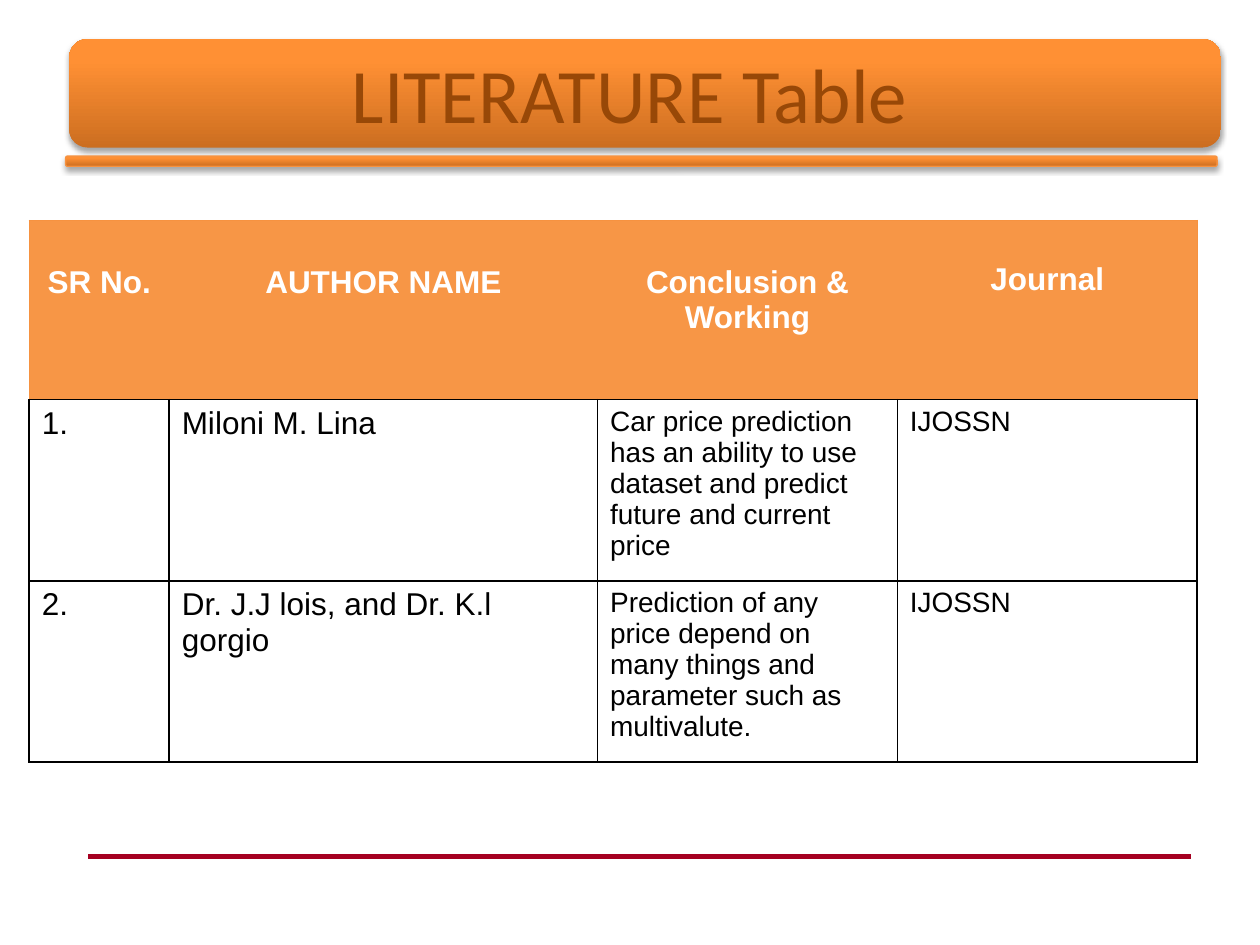
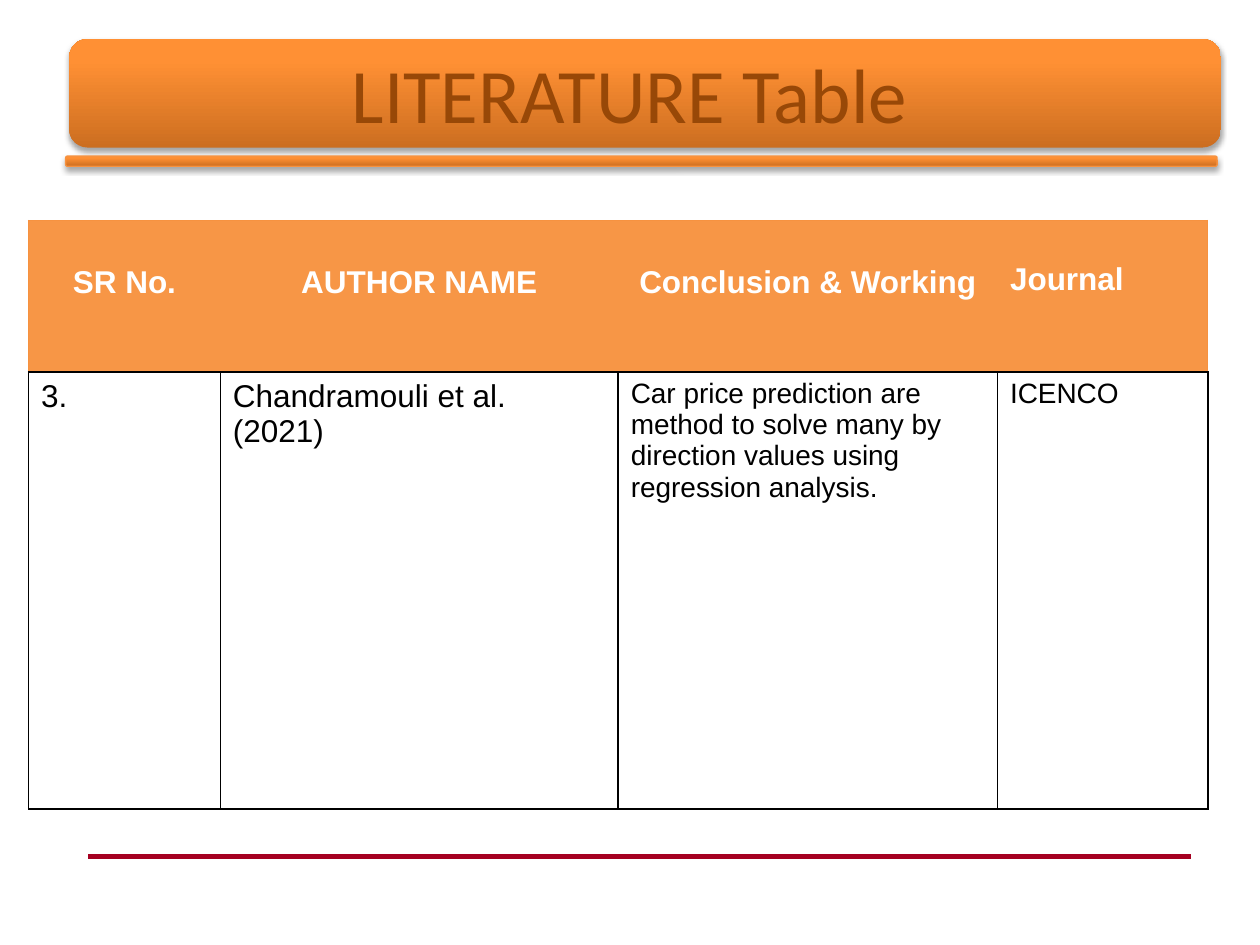
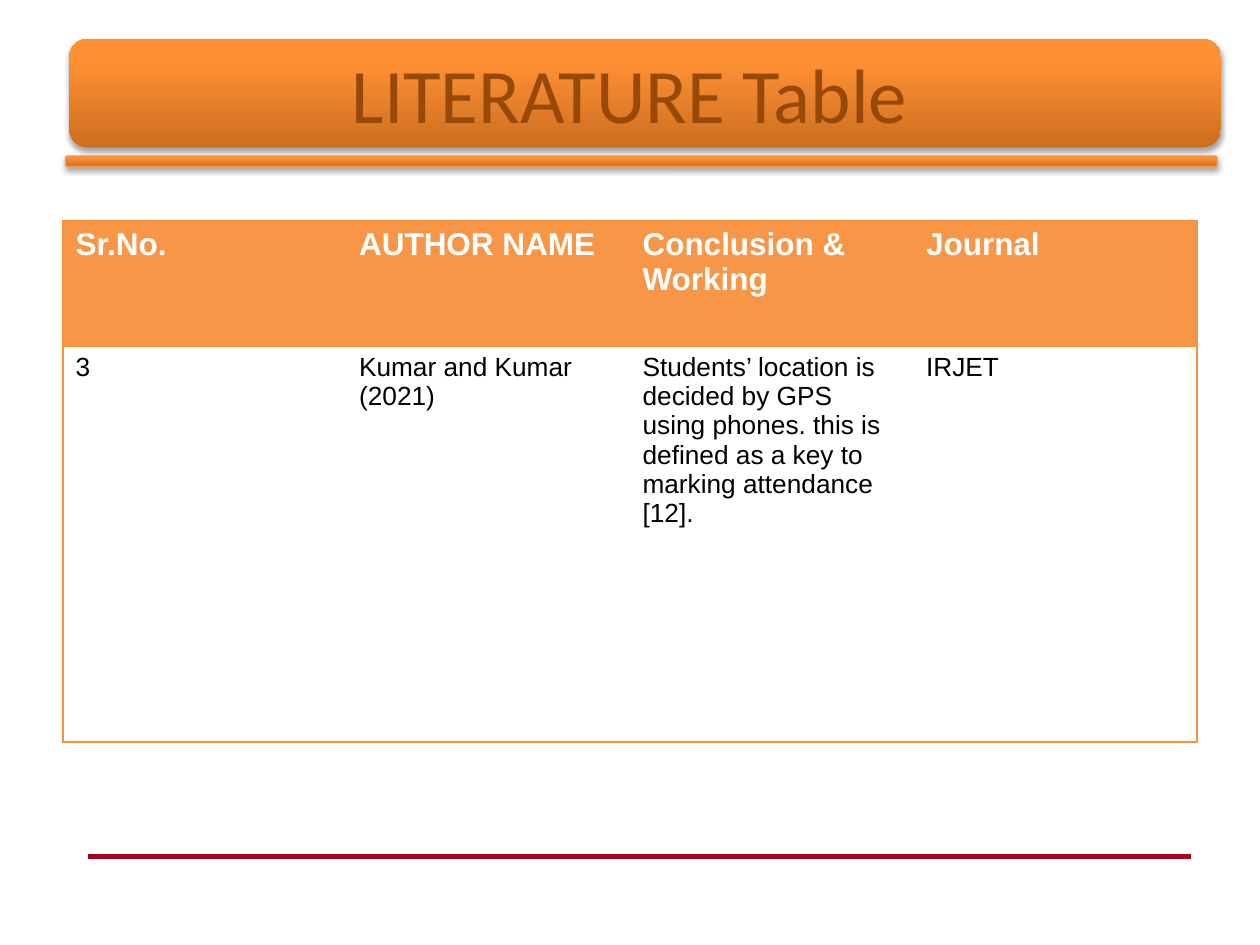
from copy import deepcopy

from lxml import etree
from pptx import Presentation
from pptx.dml.color import RGBColor
from pptx.enum.shapes import MSO_CONNECTOR, MSO_SHAPE
from pptx.enum.text import MSO_ANCHOR, PP_ALIGN
from pptx.oxml.ns import qn
from pptx.util import Pt

ROUNDED = MSO_SHAPE.ROUNDED_RECTANGLE
STRAIGHT = MSO_CONNECTOR.STRAIGHT
MIDDLE = MSO_ANCHOR.MIDDLE
LEFT, CENTER = PP_ALIGN.LEFT, PP_ALIGN.CENTER

COLORS = {
    "background": "FFFFFF",
    "title": "984807",
    "header": "F79646",
    "header_text": "FFFFFF",
    "text": "000000",
    "grid": "000000",
    "frame": "F69240",
    "rule": "A50021",
    "shadow": "000000",
}
BAND_STOPS = [(0, "CC6E20"), (0.8, "FF9034"), (1, "FF9136")]
BORDER_WIDTHS = {"grid": 1, "frame": 0.75}
TITLE_FONT, BODY_FONT = "Calibri", "Arial"
TABLE_TOP = 126


def color(name):
    return RGBColor.from_string(COLORS[name])


def add_xml(parent, tag, **attributes):
    return etree.SubElement(parent, qn(tag), {key: str(value) for key, value in attributes.items()})


def border_names(row, column, last_column, has_grid):
    """Border colour name for each side of a cell, or None for no border."""
    if has_grid and row:
        return dict.fromkeys("LRTB", "grid")
    return {
        "L": "frame" if column == 0 else None,
        "R": "frame" if column == last_column else None,
        "T": "frame",
        "B": "grid" if has_grid else "frame",
    }


class LiteratureDeck:
    def __init__(self):
        self.deck = Presentation()
        self.deck.slide_width, self.deck.slide_height = Pt(720), Pt(540)
        self.slide = None

    def new_slide(self, title):
        self.slide = self.deck.slides.add_slide(self.deck.slide_layouts[6])
        background = self.slide.background.fill
        background.solid()
        background.fore_color.rgb = color("background")
        self.rule(50.4, 489.6, 680.4)
        self.band(39.6, 22.3, 658, 62)
        self.band(37.5, 89.2, 658, 5.8, outlined=True)
        self.title(title)

    def rule(self, left, top, right):
        line = self.slide.shapes.add_connector(STRAIGHT, Pt(left), Pt(top), Pt(right), Pt(top))
        line.line.color.rgb = color("rule")
        line.line.width = Pt(2.75)
        add_xml(line.element.spPr, "a:effectLst")

    def band(self, left, top, width, height, outlined=False):
        band = self.slide.shapes.add_shape(ROUNDED, Pt(left), Pt(top), Pt(width), Pt(height))
        # Gradient from the dark bottom to the light top
        band.fill.gradient()
        band.fill.gradient_angle = 90
        stop_list = band.element.spPr.find(qn("a:gradFill")).find(qn("a:gsLst"))
        stop_list.append(deepcopy(stop_list[0]))
        for stop, (position, value) in zip(band.fill.gradient_stops, BAND_STOPS):
            stop.position = position
            stop.color.rgb = RGBColor.from_string(value)
        if outlined:
            band.line.color.rgb = color("frame")
            band.line.width = Pt(0.75)
        else:
            band.line.fill.background()
        # Soft shadow straight below
        band.shadow.inherit = False
        effects = band.element.spPr.find(qn("a:effectLst"))
        shadow = add_xml(effects, "a:outerShdw", blurRad=Pt(3.1), dist=Pt(1.8),
                         dir=5400000, rotWithShape=0)
        shade = add_xml(shadow, "a:srgbClr", val=COLORS["shadow"])
        add_xml(shade, "a:alpha", val=35000)

    def title(self, text):
        box = self.slide.shapes.add_textbox(Pt(36), Pt(21.6), Pt(648), Pt(62.64))
        frame = box.text_frame
        frame.word_wrap = True
        frame.vertical_anchor = MIDDLE
        self.set_text(frame, text, 44, "title", TITLE_FONT, align=CENTER)

    def set_text(self, frame, text, size, color_name, font=BODY_FONT, bold=False, align=LEFT):
        para = frame.paragraphs[0]
        para.text = text
        para.alignment = align
        para.font.name = font
        para.font.size = Pt(size)
        para.font.bold = bold
        para.font.color.rgb = color(color_name)

    def border(self, cell, side, name):
        properties = cell._tc.get_or_add_tcPr()
        if name is None:
            add_xml(add_xml(properties, f"a:ln{side}", w=0), "a:noFill")
            return
        line = add_xml(properties, f"a:ln{side}", w=Pt(BORDER_WIDTHS[name]))
        add_xml(add_xml(line, "a:solidFill"), "a:srgbClr", val=COLORS[name])

    def table(self, left, widths, heights, rows, sizes, aligns, header_tops, has_grid=True):
        table = self.slide.shapes.add_table(
            len(rows), len(widths), Pt(left), Pt(TABLE_TOP), Pt(sum(widths)), Pt(sum(heights))).table
        table.first_row = table.horz_banding = False
        for column, width in zip(table.columns, widths):
            column.width = Pt(width)
        for row, height in zip(table.rows, heights):
            row.height = Pt(height)
        for r, texts in enumerate(rows):
            for c, text in enumerate(texts):
                cell = table.cell(r, c)
                for side, name in border_names(r, c, len(widths) - 1, has_grid).items():
                    self.border(cell, side, name)
                if r == 0:
                    cell.fill.solid()
                    cell.fill.fore_color.rgb = color("header")
                    cell.margin_top = Pt(header_tops[c])
                    self.set_text(cell.text_frame, text, 18, "header_text", bold=True, align=aligns[c])
                else:
                    cell.fill.background()
                    self.set_text(cell.text_frame, text, sizes[c], "text")


def main():
    literature = LiteratureDeck()
    title = "LITERATURE Table"
    headings = ["SR No.", "AUTHOR NAME", "Conclusion & Working", "Journal"]
    grid_sizes = [18, 18, 16, 16]
    lowered = [25.2, 25.2, 25.2, 23.6]

    # Slide 1: first two papers
    literature.new_slide(title)
    literature.table(
        16.7, [80, 244.8, 171.3, 171.3], [102.4, 103.6, 103.6],
        [headings,
         ["1.", "Miloni M. Lina",
          "Car price prediction has an ability to use dataset and predict future and current price",
          "IJOSSN"],
         ["2.", "Dr. J.J lois, and Dr. K.l gorgio",
          "Prediction of any price depend on many things and parameter such as multivalute.",
          "IJOSSN"]],
        grid_sizes, [CENTER] * 4, lowered)

    # Slide 2: third paper
    literature.new_slide(title)
    literature.table(
        16.3, [109.6, 227.4, 216.7, 120.2], [86.7, 249.6],
        [headings,
         ["3.", "Chandramouli et al. (2021)",
          "Car price prediction are method to solve many by direction values using regression analysis.",
          "ICENCO"]],
        grid_sizes, [CENTER] * 3 + [LEFT], lowered)

    # Slide 3: framed table without inner lines
    literature.new_slide(title)
    literature.table(
        36, [162] * 4, [72, 226],
        [["Sr.No."] + headings[1:],
         ["3", "Kumar and Kumar (2021)",
          "Students’ location is decided by GPS using phones. "
          "this is defined as a key to marking attendance [12].",
          "IRJET"]],
        [15] * 4, [LEFT] * 4, [3.6] * 4, has_grid=False)

    literature.deck.save("out.pptx")


if __name__ == "__main__":
    main()
